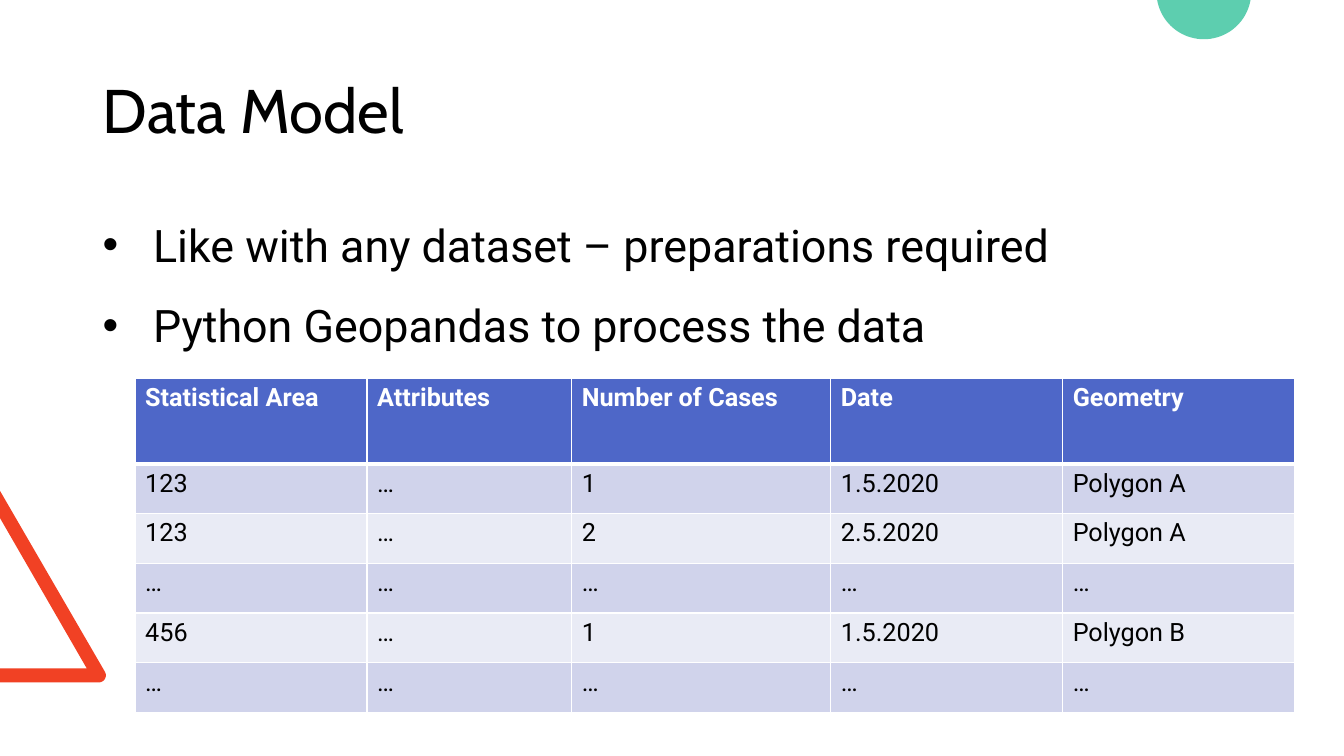
from math import cos, radians, sin

from lxml.etree import SubElement
from pptx import Presentation
from pptx.dml.color import RGBColor
from pptx.enum.text import MSO_ANCHOR, MSO_AUTO_SIZE
from pptx.oxml.ns import qn
from pptx.util import Inches, Pt

TITLE = "Data Model"
BULLETS = [
    "Like with any dataset – preparations required",
    "Python Geopandas to process the data",
]
ROWS = [
    ("Statistical Area", "Attributes", "Number of Cases", "Date", "Geometry"),
    ("123", "…", "1", "1.5.2020", "Polygon A"),
    ("123", "…", "2", "2.5.2020", "Polygon A"),
    ("…", "…", "…", "…", "…"),
    ("456", "…", "1", "1.5.2020", "Polygon B"),
    ("…", "…", "…", "…", "…"),
]
COLORS = {
    "text": "000000",
    "white": "FFFFFF",
    "header": "4E67C8",
    "odd": "D0D3EB",
    "even": "E9EBF5",
    "triangle": "F14124",
    "circle": "5DCEAF",
}
WIDTH, HEIGHT = 13.33, 7.5
LEFT, CONTENT_WIDTH = 0.92, 11.5
TITLE_BOX = (LEFT, 0.4, CONTENT_WIDTH, 1.45)
BULLET_BOX = (LEFT, 1.84, CONTENT_WIDTH, 1.63)
TABLE_BOX = (1.34, 3.75, CONTENT_WIDTH, 3.32)
COLUMN_WIDTHS = (2.3, 2.03, 2.57, 2.3, 2.3)
HEADER_HEIGHT = 0.85


def color(name):
    return RGBColor.from_string(COLORS[name])


def arc(center, radius, start, end, steps):
    angles = [radians(start + (end - start) * i / steps) for i in range(steps + 1)]
    return [(center[0] + radius * cos(a), center[1] + radius * sin(a)) for a in angles]


def add_outline(slide, points, fill):
    corners = [(Inches(x), Inches(y)) for x, y in points]
    builder = slide.shapes.build_freeform(*corners[0])
    builder.add_line_segments(corners[1:], close=True)
    shape = builder.convert_to_shape()
    shape.shadow.inherit = False
    shape.fill.solid()
    shape.fill.fore_color.rgb = color(fill)
    shape.line.fill.background()


def add_run(paragraph, text, size, font, fill="text", bold=False):
    run = paragraph.add_run()
    run.text = text
    run.font.size = Pt(size)
    run.font.name = font
    run.font.bold = bold
    run.font.color.rgb = color(fill)


def add_frame(slide, box):
    frame = slide.shapes.add_textbox(*map(Inches, box)).text_frame
    frame.word_wrap = True
    return frame


def add_bullet(paragraph):
    properties = paragraph._p.get_or_add_pPr()
    properties.set("marL", str(Inches(0.5)))
    properties.set("indent", str(Inches(-0.5)))
    SubElement(properties, qn("a:buFont"), typeface="Arial")
    SubElement(properties, qn("a:buChar"), char="•")


def add_borders(cell, widths):
    properties = cell._tc.get_or_add_tcPr()
    for side, width in zip("LRTB", widths):
        line = SubElement(properties, qn(f"a:ln{side}"), w=str(Pt(width)))
        fill = SubElement(line, qn("a:solidFill"))
        SubElement(fill, qn("a:srgbClr"), val=COLORS["white"])


def add_table(slide):
    shape = slide.shapes.add_table(len(ROWS), len(COLUMN_WIDTHS), *map(Inches, TABLE_BOX))
    table = shape.table
    body_height = (TABLE_BOX[3] - HEADER_HEIGHT) / (len(ROWS) - 1)
    for column, width in zip(table.columns, COLUMN_WIDTHS):
        column.width = Inches(width)
    for r, values in enumerate(ROWS):
        header = r == 0
        table.rows[r].height = Inches(HEADER_HEIGHT if header else body_height)
        fill = "header" if header else "odd" if r % 2 else "even"
        for c, value in enumerate(values):
            cell = table.cell(r, c)
            add_borders(cell, (1, 1, 3 if r == 1 else 1, 3 if header else 1))
            cell.fill.solid()
            cell.fill.fore_color.rgb = color(fill)
            add_run(cell.text_frame.paragraphs[0], value, 18, "Roboto",
                    "white" if header else "text", header)


def main():
    presentation = Presentation()
    presentation.slide_width = Inches(WIDTH)
    presentation.slide_height = Inches(HEIGHT)
    slide = presentation.slides.add_slide(presentation.slide_layouts[6])

    corner = arc((0.98, 6.7), 0.07, -30, 90, 12)
    inner = [(0, 6.77), (0, 6.63), (0.86, 6.63), (0, 5.14), (0, 4.87)]
    add_outline(slide, inner + corner, "triangle")
    add_outline(slide, arc((11.94, -0.08), 0.47, 10, 170, 40), "circle")

    title = add_frame(slide, TITLE_BOX)
    title.vertical_anchor = MSO_ANCHOR.MIDDLE
    title.paragraphs[0].line_spacing = 0.9
    add_run(title.paragraphs[0], TITLE, 44, "Cabin")

    body = add_frame(slide, BULLET_BOX)
    body.auto_size = MSO_AUTO_SIZE.SHAPE_TO_FIT_TEXT
    for i, text in enumerate(BULLETS):
        paragraph = body.add_paragraph() if i else body.paragraphs[0]
        add_bullet(paragraph)
        paragraph.line_spacing = 1.5
        add_run(paragraph, text, 32, "Roboto")

    add_table(slide)
    presentation.save("out.pptx")


if __name__ == "__main__":
    main()
